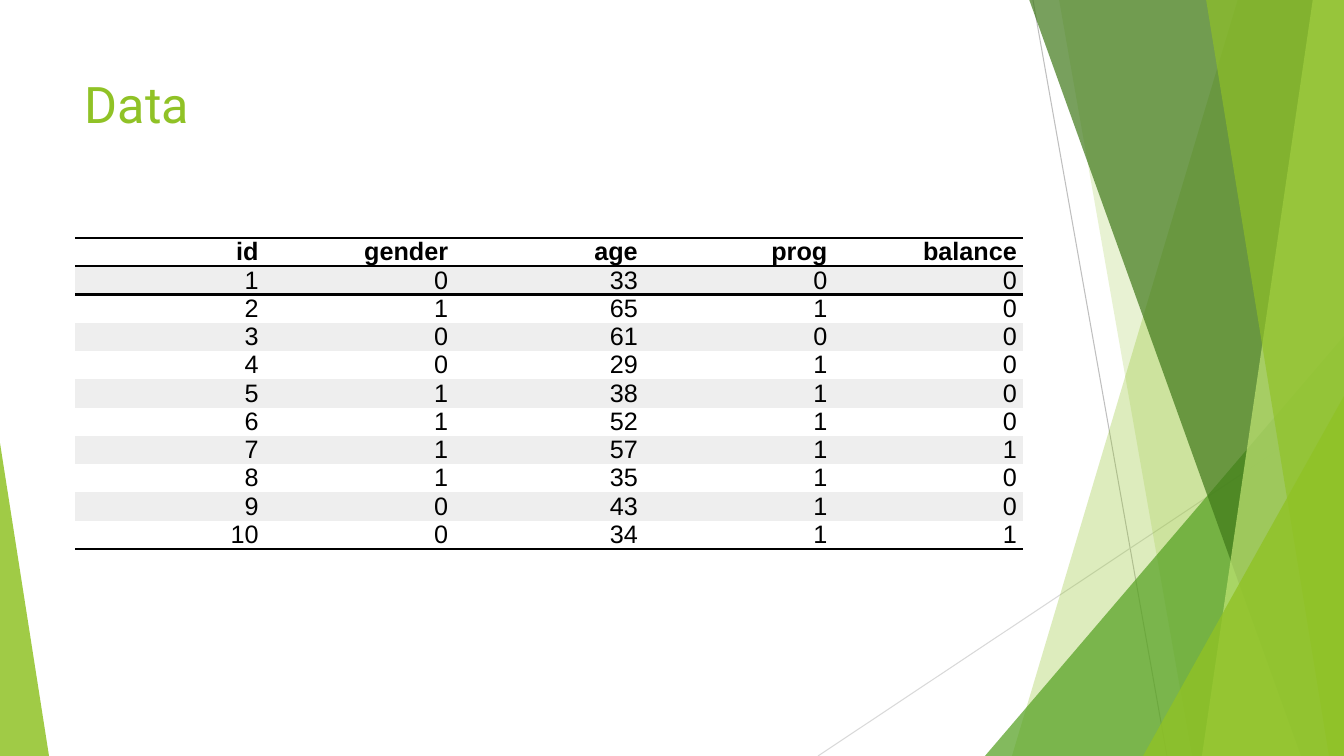
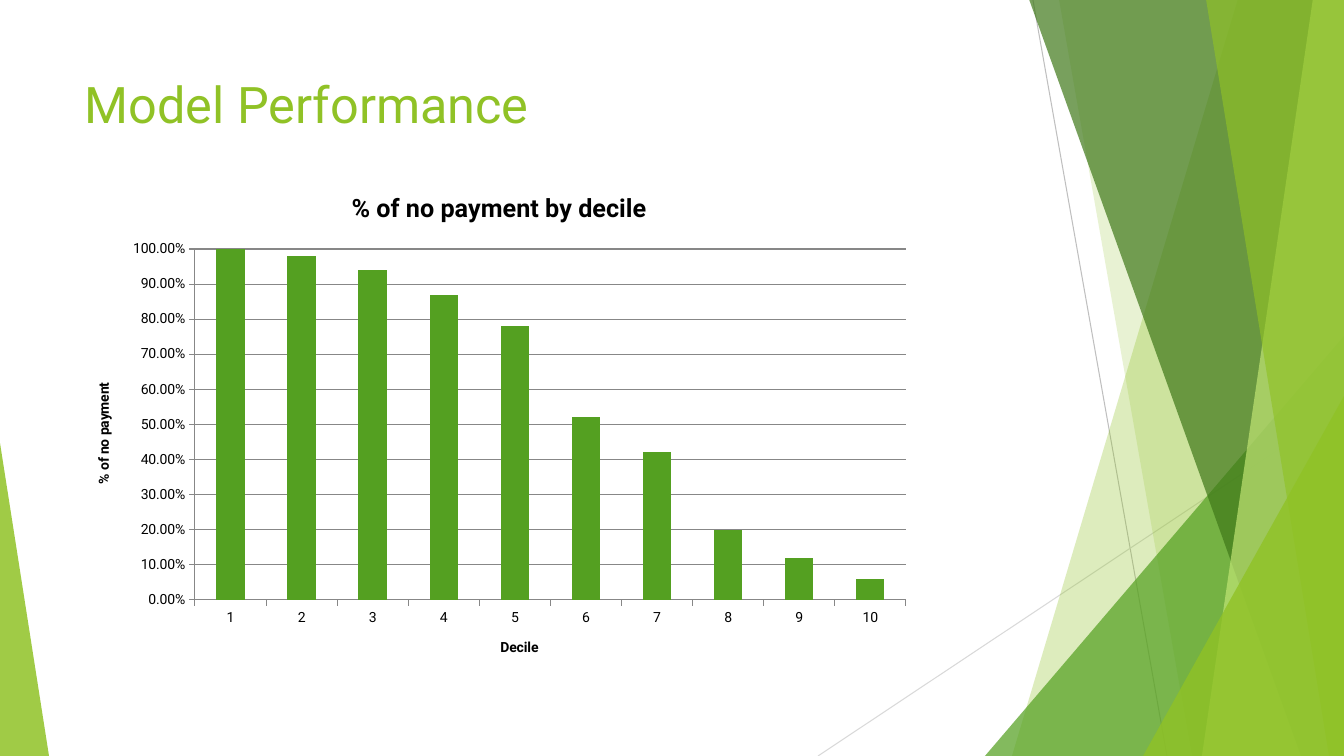
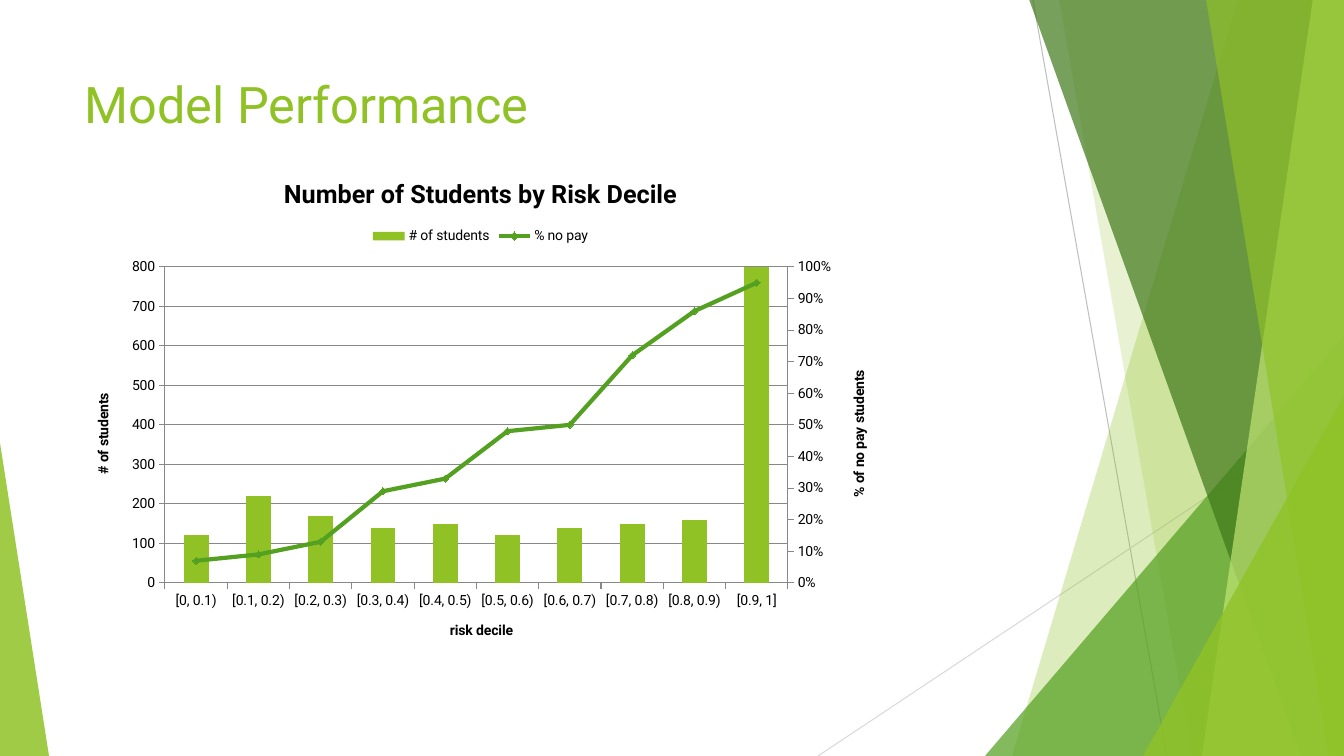
from pptx import Presentation
from pptx.chart.axis import ValueAxis
from pptx.chart.data import CategoryChartData
from pptx.dml.color import RGBColor
from pptx.enum.chart import XL_CHART_TYPE, XL_LEGEND_POSITION, XL_MARKER_STYLE, XL_TICK_MARK
from pptx.enum.shapes import MSO_CONNECTOR, MSO_SHAPE
from pptx.enum.text import MSO_ANCHOR, PP_ALIGN
from pptx.oxml import parse_xml
from pptx.oxml.ns import nsdecls, qn
from pptx.oxml.xmlchemy import OxmlElement
from pptx.util import Pt

WIDTH, HEIGHT = 1344, 756
EMU_PER_PX = 914400 / 100.8

LIME = RGBColor(0x90, 0xC2, 0x26)
GREEN = RGBColor(0x54, 0xA0, 0x21)
FOREST = RGBColor(0x3F, 0x78, 0x19)
PALE_LIME = RGBColor(0xC0, 0xE4, 0x74)
BLACK = RGBColor(0, 0, 0)
WHITE = RGBColor(0xFF, 0xFF, 0xFF)
STRIPE = RGBColor(0xEE, 0xEE, 0xEE)
LINE_GRAY = RGBColor(0xBF, 0xBF, 0xBF)
LIGHT_GRAY = RGBColor(0xD9, 0xD9, 0xD9)
AXIS_GRAY = RGBColor(0x87, 0x87, 0x87)

HEADING_FONT = "Roboto"
TABLE_FONT = "Arial"
NO_STYLE_NO_GRID = "{2D5ABB26-0587-4C30-8999-92F81FD0307C}"

HEADERS = ["id", "gender", "age", "prog", "balance"]
CUSTOMERS = [
    (1, 0, 33, 0, 0),
    (2, 1, 65, 1, 0),
    (3, 0, 61, 0, 0),
    (4, 0, 29, 1, 0),
    (5, 1, 38, 1, 0),
    (6, 1, 52, 1, 0),
    (7, 1, 57, 1, 1),
    (8, 1, 35, 1, 0),
    (9, 0, 43, 1, 0),
    (10, 0, 34, 1, 1),
]

DECILES = [str(number) for number in range(1, 11)]
NO_PAYMENT = [1, 0.98, 0.94, 0.87, 0.78, 0.52, 0.42, 0.2, 0.12, 0.06]
RISK_BANDS = [f"[{low / 10:g}, 0.{low + 1})" for low in range(9)] + ["[0.9, 1]"]
STUDENTS = [120, 220, 170, 140, 150, 120, 140, 150, 160, 800]
NO_PAY_SHARE = [0.07, 0.09, 0.13, 0.29, 0.33, 0.48, 0.5, 0.72, 0.86, 0.95]


def px(length):
    """Turn pixels into EMU."""
    return round(length * EMU_PER_PX)


def style_font(font, size, color, name, bold=False):
    """Set the size, colour, face and weight of a font."""
    font.size = Pt(size)
    font.color.rgb = color
    font.name = name
    font.bold = bold


def paint(shape, color, opacity):
    """Give a shape a translucent fill without line or shadow."""
    shape.shadow.inherit = False
    shape.line.fill.background()
    shape.fill.solid()
    shape.fill.fore_color.rgb = color
    alpha = OxmlElement("a:alpha")
    alpha.set("val", str(opacity * 1000))
    shape._element.spPr.find(qn("a:solidFill"))[0].append(alpha)


def add_line(slide, start, end, color):
    """Draw a thin straight line."""
    line = slide.shapes.add_connector(MSO_CONNECTOR.STRAIGHT, *map(px, start + end))
    line.line.color.rgb = color
    line.line.width = Pt(0.75)
    line._element.spPr.append(OxmlElement("a:effectLst"))


def add_veil(slide, top_x, bottom_x, color, opacity):
    """Fill the area between a slanted edge and the right slide edge."""
    corners = [(WIDTH, -1), (WIDTH, HEIGHT), (bottom_x, HEIGHT)]
    builder = slide.shapes.build_freeform(px(top_x), px(-1))
    builder.add_line_segments([(px(x), px(y)) for x, y in corners], close=True)
    paint(builder.convert_to_shape(), color, opacity)


def add_corner(slide, left, top, width, apex, color, opacity):
    """Draw a right triangle standing on the bottom slide edge."""
    triangle = slide.shapes.add_shape(
        MSO_SHAPE.ISOSCELES_TRIANGLE, px(left), px(top), px(width), px(HEIGHT - top)
    )
    triangle.adjustments[0] = apex
    paint(triangle, color, opacity)


def add_backdrop(slide):
    """Draw the layered green facets shared by all slides."""
    add_line(slide, (1033, 0), (1167, HEIGHT), LINE_GRAY)
    add_line(slide, (WIDTH, 406), (818, HEIGHT), LIGHT_GRAY)
    add_veil(slide, 1238, 1012, LIME, 30)
    add_veil(slide, 1059, 1192, LIME, 20)
    add_corner(slide, 985, 336, 359, 1, GREEN, 72)
    add_veil(slide, 1029, 1301, FOREST, 70)
    add_veil(slide, 1313, 1202, PALE_LIME, 70)
    add_veil(slide, 1206, 1329, LIME, 65)
    add_corner(slide, 1143, 396, 201, 1, LIME, 80)
    add_corner(slide, 0, 443, 49, 0, LIME, 85)


def add_slide(deck, title):
    """Add a slide with the shared backdrop and a title."""
    slide = deck.slides.add_slide(deck.slide_layouts[6])
    add_backdrop(slide)
    box = slide.shapes.add_textbox(px(75), px(68), px(948), px(145))
    box.text_frame.word_wrap = True
    box.text_frame.text = title
    style_font(box.text_frame.paragraphs[0].runs[0].font, 36, LIME, HEADING_FONT)
    return slide


def add_border(cell, sides):
    """Draw black rules on the given sides of a cell."""
    for index, side in enumerate(sides):
        rule = parse_xml(
            f'<a:ln{side} {nsdecls("a")} w="{Pt(2)}"><a:solidFill>'
            f'<a:srgbClr val="{BLACK}"/></a:solidFill></a:ln{side}>'
        )
        cell._tc.get_or_add_tcPr().insert(index, rule)


def fill_cell(cell, text, color, bold):
    """Write right-aligned text into a filled cell."""
    cell.fill.solid()
    cell.fill.fore_color.rgb = color
    cell.vertical_anchor = MSO_ANCHOR.MIDDLE
    cell.margin_left = cell.margin_top = cell.margin_bottom = 0
    cell.margin_right = px(6)
    cell.text_frame.text = text
    para = cell.text_frame.paragraphs[0]
    para.alignment = PP_ALIGN.RIGHT
    para.line_spacing = Pt(20)
    style_font(para.runs[0].font, 18, BLACK, TABLE_FONT, bold)


def add_data_table(slide, headers, records):
    """Add a striped table ruled around its header and at its foot."""
    rows = [headers] + records
    table = slide.shapes.add_table(
        len(rows), len(headers), px(75), px(238), px(948), px(311)
    ).table
    table._tbl.tblPr.find(qn("a:tableStyleId")).text = NO_STYLE_NO_GRID
    table.first_row = table.horz_banding = False
    borders = {0: "TB", 1: "T", len(records): "B"}
    for row, values in enumerate(rows):
        for column, value in enumerate(values):
            cell = table.cell(row, column)
            fill_cell(cell, str(value), STRIPE if row % 2 else WHITE, row == 0)
            add_border(cell, borders.get(row, ""))


def set_title(text_frame, text, size):
    """Write a bold chart or axis title."""
    text_frame.text = text
    style_font(text_frame.paragraphs[0].runs[0].font, size, BLACK, HEADING_FONT, True)


def style_axis(axis, title):
    """Give an axis its title, gray line and outer ticks."""
    set_title(axis.axis_title.text_frame, title, 10)
    axis.format.line.color.rgb = AXIS_GRAY
    axis.format.line.width = Pt(0.75)
    axis.major_tick_mark = XL_TICK_MARK.OUTSIDE
    axis.has_major_gridlines = False


def style_value_axis(axis, title, maximum, step, number_format):
    """Scale a value axis and turn its title upright."""
    style_axis(axis, title)
    axis.axis_title.text_frame._txBody.bodyPr.set("rot", "-5400000")
    axis.axis_title.text_frame._txBody.bodyPr.set("vert", "horz")
    axis.minimum_scale, axis.maximum_scale, axis.major_unit = 0, maximum, step
    axis.tick_labels.number_format = number_format
    axis.tick_labels.number_format_is_linked = False


def remove_children(parent, tag):
    """Remove all direct children with a tag."""
    for child in parent.findall(qn(tag)):
        parent.remove(child)


def place_plot(chart, frame, plot):
    """Fix the inner plot area, with both rectangles in slide pixels."""
    left, top, width, height = frame
    shares = {
        "x": (plot[0] - left) / width,
        "y": (plot[1] - top) / height,
        "w": plot[2] / width,
        "h": plot[3] / height,
    }
    modes = "".join(f'<c:{key}Mode val="edge"/>' for key in "xy")
    sizes = "".join(f'<c:{key} val="{share:.4f}"/>' for key, share in shares.items())
    layout = parse_xml(
        f'<c:layout {nsdecls("c")}><c:manualLayout><c:layoutTarget val="inner"/>'
        f"{modes}{sizes}</c:manualLayout></c:layout>"
    )
    area = chart._chartSpace.chart.plotArea
    remove_children(area, "c:layout")
    area.insert(0, layout)


def add_column_chart(slide, frame, plot, title, categories, series, color):
    """Add a column chart with a fixed plot area and a title."""
    data = CategoryChartData()
    data.categories = categories
    for name, values, number_format in series:
        data.add_series(name, values, number_format)
    chart = slide.shapes.add_chart(
        XL_CHART_TYPE.COLUMN_CLUSTERED, *map(px, frame), data
    ).chart
    style_font(chart.font, 10, BLACK, HEADING_FONT)
    chart.has_title = True
    set_title(chart.chart_title.text_frame, title, 18)
    chart.has_legend = False
    place_plot(chart, frame, plot)
    columns = chart.plots[0]
    columns.gap_width = 150
    columns.vary_by_categories = False
    columns.series[0].format.fill.solid()
    columns.series[0].format.fill.fore_color.rgb = color
    return chart


def add_gridlines(axis):
    """Show gray major gridlines."""
    axis.has_major_gridlines = True
    axis.major_gridlines.format.line.color.rgb = AXIS_GRAY
    axis.major_gridlines.format.line.width = Pt(0.75)


def move_to_right_axis(chart):
    """Turn the second series into a line and return its new value axis."""
    area = chart._chartSpace.chart.plotArea
    bars = area.find(qn("c:barChart"))
    series = bars.findall(qn("c:ser"))[1]
    remove_children(series, "c:invertIfNegative")
    lines = parse_xml(
        f'<c:lineChart {nsdecls("c")}><c:grouping val="standard"/>'
        '<c:varyColors val="0"/><c:marker val="1"/>'
        '<c:axId val="111"/><c:axId val="222"/></c:lineChart>'
    )
    lines.insert(2, series)
    bars.addnext(lines)
    hidden, right = [
        parse_xml(
            f'<c:{tag} {nsdecls("c")}><c:axId val="{own}"/>'
            '<c:scaling><c:orientation val="minMax"/></c:scaling>'
            f'<c:delete val="{deleted}"/><c:axPos val="{side}"/>'
            '<c:majorTickMark val="out"/><c:minorTickMark val="none"/>'
            '<c:tickLblPos val="nextTo"/>'
            f'<c:crossAx val="{other}"/><c:crosses val="{crosses}"/></c:{tag}>'
        )
        for tag, own, other, deleted, side, crosses in (
            ("catAx", 111, 222, 1, "b", "autoZero"),
            ("valAx", 222, 111, 0, "r", "max"),
        )
    ]
    area.find(qn("c:valAx")).addnext(hidden)
    hidden.addnext(right)
    return ValueAxis(right)


def style_line(series, color):
    """Draw a line series with small diamond markers."""
    series.smooth = False
    series.format.line.color.rgb = color
    series.format.line.width = Pt(3)
    series.marker.style = XL_MARKER_STYLE.DIAMOND
    series.marker.size = 5
    series.marker.format.fill.solid()
    series.marker.format.fill.fore_color.rgb = color
    series.marker.format.line.color.rgb = color


def add_decile_chart(slide):
    """Add the share of missed payments for each decile."""
    chart = add_column_chart(
        slide, (75, 171, 848, 505), (195, 249, 711, 351),
        "% of no payment by decile", DECILES,
        [("Series 1", NO_PAYMENT, "0.00%")], GREEN,
    )
    style_axis(chart.category_axis, "Decile")
    style_value_axis(chart.value_axis, "% of no payment", 1, 0.1, "0.00%")
    add_gridlines(chart.value_axis)


def add_risk_chart(slide):
    """Add student counts with the share of non-payers on a right axis."""
    chart = add_column_chart(
        slide, (74, 157, 813, 502), (165, 267, 623, 316),
        "Number of Students by Risk Decile", RISK_BANDS,
        [("# of students", STUDENTS, "General"), ("% no pay", NO_PAY_SHARE, "0%")],
        LIME,
    )
    style_axis(chart.category_axis, "risk decile")
    style_value_axis(chart.value_axis, "# of students", 800, 100, "General")
    add_gridlines(chart.value_axis)
    right_axis = move_to_right_axis(chart)
    style_value_axis(right_axis, "% of no pay students", 1, 0.1, "0%")
    style_line(chart.plots[1].series[0], GREEN)
    chart.has_legend = True
    chart.legend.position = XL_LEGEND_POSITION.TOP
    chart.legend.include_in_layout = False


def main():
    """Build and save the deck."""
    deck = Presentation()
    deck.slide_width, deck.slide_height = px(WIDTH), px(HEIGHT)
    add_data_table(add_slide(deck, "Data"), HEADERS, CUSTOMERS)
    add_decile_chart(add_slide(deck, "Model Performance"))
    add_risk_chart(add_slide(deck, "Model Performance"))
    deck.save("out.pptx")


if __name__ == "__main__":
    main()
